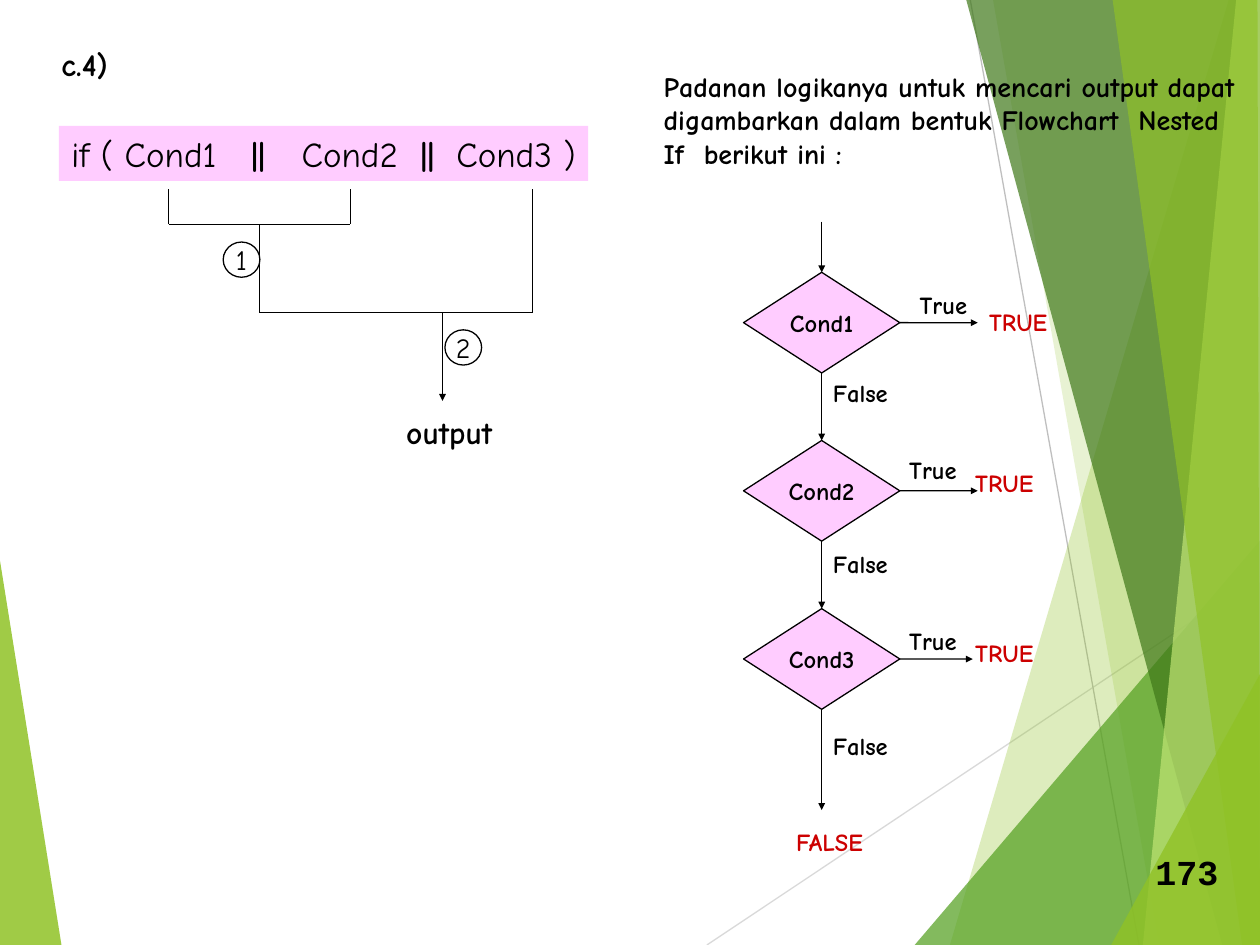
from lxml.etree import SubElement
from pptx import Presentation
from pptx.dml.color import RGBColor
from pptx.enum.shapes import MSO_CONNECTOR, MSO_SHAPE
from pptx.enum.text import MSO_ANCHOR, PP_ALIGN
from pptx.oxml.ns import qn
from pptx.util import Cm, Pt

COLORS = {
    "black": "000000", "red": "CC0000", "pink": "FFCCFF",
    "lime": "90C226", "green": "54A021", "forest": "3F7819", "pale": "C0E474",
    "gray": "BFBFBF", "silver": "D9D9D9",
}
FONT = "Comic Neue"
W, H = 25.4, 19.05

prs = Presentation()
prs.slide_width, prs.slide_height = Cm(W), Cm(H)
slide = prs.slides.add_slide(prs.slide_layouts[6])
shapes = slide.shapes


def rgb(name):
    return RGBColor.from_string(COLORS[name])


def write(sp, runs, color="black", font=FONT, align=PP_ALIGN.LEFT, wrap=False):
    """Fill a shape's only paragraph with (text, size, bold) runs."""
    tf = sp.text_frame
    tf.word_wrap = wrap
    p = tf.paragraphs[0]
    p.alignment = align
    for text, size, bold in runs:
        r = p.add_run()
        r.text = text
        r.font.name, r.font.size, r.font.bold = font, Pt(size), bold
        r.font.color.rgb = rgb(color)


def add_line(x1, y1, x2, y2, color="black", arrow=False):
    line = shapes.add_connector(MSO_CONNECTOR.STRAIGHT, Cm(x1), Cm(y1), Cm(x2), Cm(y2))
    line.line.color.rgb = rgb(color)
    line.line.width = Pt(0.75)
    if arrow:
        SubElement(line.line._get_or_add_ln(), qn("a:tailEnd"),
                   type="triangle", w="sm", len="sm")
    SubElement(line._element.spPr, qn("a:effectLst"))
    return line


# Background facets: colour, opacity in percent, corners
add_line(14.25, H, W, 11.61, "silver")
add_line(19.56, 0, 22.96, H, "gray")
facets = [
    ("lime", 85, [(0, 11.3), (1.24, H), (0, H)]),
    ("lime", 30, [(24.77, 0), (19.15, H), (W, H), (W, 0)]),
    ("lime", 20, [(20.02, 0), (23.37, H), (W, H), (W, 0)]),
    ("green", 72, [(18.44, H), (W, 10.9), (W, H)]),
    ("forest", 70, [(19.48, 0), (24.64, H), (W, H), (W, 0)]),
    ("pale", 70, [(24.92, 0), (23.04, H), (W, H), (W, 0)]),
    ("lime", 65, [(22.43, 0), (25.04, H), (W, H), (25.35, 0)]),
    ("lime", 80, [(22.4, H), (W, 13.59), (W, H)]),
]
for color, opacity, corners in facets:
    points = [(Cm(x), Cm(y)) for x, y in corners]
    builder = shapes.build_freeform(*points[0])
    builder.add_line_segments(points[1:], close=True)
    sp = builder.convert_to_shape()
    sp.shadow.inherit = False
    sp.fill.solid()
    sp.fill.fore_color.rgb = rgb(color)
    sp.line.fill.background()
    srgb = sp._element.spPr.find(".//" + qn("a:srgbClr"))
    SubElement(srgb, qn("a:alpha"), val=str(opacity * 1000))

# Condition, its gaps set by tab stops
sp = shapes.add_shape(MSO_SHAPE.RECTANGLE, Cm(1.19), Cm(2.54), Cm(10.67), Cm(1.11))
sp.shadow.inherit = False
sp.fill.solid()
sp.fill.fore_color.rgb = rgb("pink")
sp.line.fill.background()
sp.text_frame.margin_right = 0
tabs = SubElement(sp.text_frame.paragraphs[0]._p.get_or_add_pPr(), qn("a:tabLst"))
for stop in (3.63, 4.64, 7.04, 7.76):
    SubElement(tabs, qn("a:tab"), pos=str(Cm(stop)), algn="l")
write(sp, [("if ( Cond1\t", 20, False), ("||", 18, True), ("\tCond2\t", 20, False),
           ("||", 18, True), ("\tCond3 )", 20, False)])

# Evaluation order: each bracket joins two operands
cond1_x, cond2_x, cond3_x = 3.4, 7.06, 10.74
first_x, second_x = 5.23, 8.92
top_y, first_y, second_y = 3.81, 4.52, 6.3
add_line(cond1_x, top_y, cond1_x, first_y)
add_line(cond2_x, top_y, cond2_x, first_y)
add_line(cond1_x, first_y, cond2_x, first_y)
add_line(first_x, first_y, first_x, second_y)
add_line(cond3_x, top_y, cond3_x, second_y)
add_line(first_x, second_y, cond3_x, second_y)
add_line(second_x, second_y, second_x, 8.08, arrow=True)
for number, x, y in (("1", 4.5, 4.88), ("2", 8.97, 6.65)):
    sp = shapes.add_shape(MSO_SHAPE.OVAL, Cm(x), Cm(y), Cm(0.74), Cm(0.71))
    sp.shadow.inherit = False
    sp.fill.background()
    sp.line.color.rgb = rgb("black")
    sp.line.width = Pt(0.75)
    sp.text_frame.vertical_anchor = MSO_ANCHOR.MIDDLE
    write(sp, [(number, 16, False)], align=PP_ALIGN.CENTER)

# Flowchart
left, top, width, height, pitch = 14.99, 5.49, 3.15, 2.03, 3.39
center_x = left + width / 2
decisions = []
for i in range(3):
    sp = shapes.add_shape(MSO_SHAPE.FLOWCHART_DECISION, Cm(left), Cm(top + i * pitch),
                          Cm(width), Cm(height))
    sp.shadow.inherit = False
    sp.fill.solid()
    sp.fill.fore_color.rgb = rgb("pink")
    sp.line.color.rgb = rgb("black")
    sp.line.width = Pt(0.75)
    sp.text_frame.vertical_anchor = MSO_ANCHOR.MIDDLE
    write(sp, [(f"Cond{i + 1}", 14, True)], align=PP_ALIGN.CENTER)
    decisions.append(sp)

add_line(center_x, 4.47, center_x, top, arrow=True).end_connect(decisions[0], 0)
for i, (sp, true_end) in enumerate(zip(decisions, (19.71, 19.71, 19.61))):
    y = top + i * pitch
    middle, bottom = y + height / 2, y + height
    add_line(left + width, middle, true_end, middle, arrow=True).begin_connect(sp, 3)
    false_end = 16.33 if i == 2 else y + pitch
    line = add_line(center_x, bottom, center_x, false_end, arrow=True)
    line.begin_connect(sp, 2)
    if i < 2:
        line.end_connect(decisions[i + 1], 0)

# Text boxes: text, left, top, width, height, size, colour, font
labels = [
    ("c.4)", 0.99, 0.79, 1.5, 1.02, 18, "black", FONT),
    ("output", 7.94, 8.2, 2.3, 1.02, 18, "black", FONT),
    ("FALSE", 15.8, 16.54, 1.95, 0.86, 14, "red", FONT),
    ("173", 23.04, 17.02, 1.85, 1.12, 20, "black", "Courier New"),
]
for text, w, color, places in (
    ("True", 1.55, "black", [(18.29, 5.72), (18.08, 9.04), (18.08, 12.5)]),
    ("TRUE", 1.75, "red", [(19.69, 6.07), (19.41, 9.32), (19.41, 12.73)]),
    ("False", 1.8, "black", [(16.54, 7.49), (16.54, 10.95), (16.54, 14.61)]),
):
    labels += [(text, x, y, w, 0.86, 14, color, FONT) for x, y in places]
for text, x, y, w, h, size, color, font in labels:
    sp = shapes.add_textbox(Cm(x), Cm(y), Cm(w), Cm(h))
    write(sp, [(text, size, True)], color, font)

sp = shapes.add_textbox(Cm(13.13), Cm(1.27), Cm(12.27), Cm(2.29))
write(sp, [("Padanan logikanya untuk mencari output dapat digambarkan dalam bentuk "
            "Flowchart  Nested If  berikut ini :", 16, True)], wrap=True)

prs.save("out.pptx")
